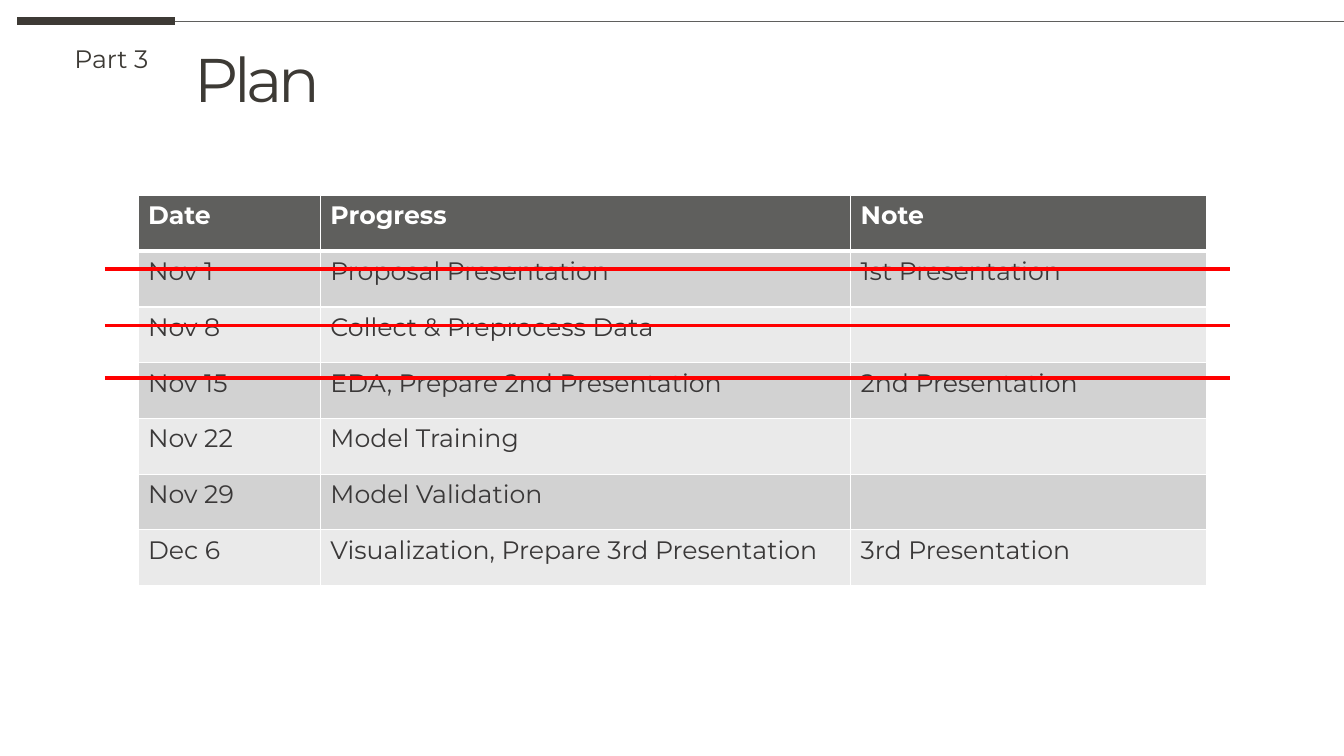
from dataclasses import dataclass

from lxml.etree import SubElement
from pptx import Presentation
from pptx.dml.color import RGBColor
from pptx.enum.shapes import MSO_CONNECTOR
from pptx.enum.text import MSO_AUTO_SIZE
from pptx.oxml import parse_xml
from pptx.oxml.ns import nsdecls, qn
from pptx.util import Pt

PART = "Part 3"
TITLE = "Plan"
PLAN = [
    ("Date", "Progress", "Note"),
    ("Nov 1", "Proposal Presentation", "1st Presentation"),
    ("Nov 8", "Collect & Preprocess Data", ""),
    ("Nov 15", "EDA, Prepare 2nd Presentation", "2nd Presentation"),
    ("Nov 22", "Model Training", ""),
    ("Nov 29", "Model Validation", ""),
    ("Dec 6", "Visualization, Prepare 3rd Presentation", "3rd Presentation"),
]


@dataclass(frozen=True)
class Theme:
    font: str = "Montserrat"
    title_size: float = 44
    body_size: float = 18
    ink: str = "3D3A35"
    cell_ink: str = "3A3838"
    header: str = "5F5F5D"
    bands: tuple = ("D2D2D2", "EAEAEA")
    white: str = "FFFFFF"
    done: str = "FF0000"


THEME = Theme()
SLIDE_W, SLIDE_H = 960, 540
RULE_Y, RULE_LEFT, RULE_SPLIT = 15.1, 12.2, 125.3
TABLE_LEFT, TABLE_TOP, ROW_H = 98.6, 139.7, 39.8
COL_WIDTHS = (130.3, 378.7, 254.2)
STRIKE_LEFT, STRIKE_RIGHT = 74.9, 878.4
STRIKE_YS = (192.2, 232.6, 270)


def style(font, size, color, bold=False):
    font.name = THEME.font
    font.size = Pt(size)
    font.bold = bold
    font.color.rgb = RGBColor.from_string(color)


def add_rule(s, x1, x2, y, color, width):
    line = s.shapes.add_connector(MSO_CONNECTOR.STRAIGHT, Pt(x1), Pt(y), Pt(x2), Pt(y))
    line.line.color.rgb = RGBColor.from_string(color)
    line.line.width = Pt(width)
    SubElement(line._element.spPr, qn("a:effectLst"))


def add_label(s, text, left, top, width, height, size, spacing=0):
    """Add a one-line text box; spacing is the letter spacing in points."""
    sp = s.shapes.add_textbox(Pt(left), Pt(top), Pt(width), Pt(height))
    tf = sp.text_frame
    tf.word_wrap = False
    tf.auto_size = MSO_AUTO_SIZE.SHAPE_TO_FIT_TEXT
    tf.text = text
    r = tf.paragraphs[0].runs[0]
    style(r.font, size, THEME.ink)
    if spacing:
        r.font._element.set("spc", str(spacing * 100))


def set_borders(cell, bottom_width):
    tcPr = cell._tc.get_or_add_tcPr()
    widths = {"lnL": 1, "lnR": 1, "lnT": 1, "lnB": bottom_width}
    for i, (side, width) in enumerate(widths.items()):
        tcPr.insert(i, parse_xml(
            f'<a:{side} {nsdecls("a")} w="{Pt(width)}"><a:solidFill>'
            f'<a:srgbClr val="{THEME.white}"/></a:solidFill></a:{side}>'))


def add_plan(s):
    table = s.shapes.add_table(
        len(PLAN), len(COL_WIDTHS), Pt(TABLE_LEFT), Pt(TABLE_TOP),
        Pt(sum(COL_WIDTHS)), Pt(ROW_H * len(PLAN))).table
    for column, width in zip(table.columns, COL_WIDTHS):
        column.width = Pt(width)
    for i, entries in enumerate(PLAN):
        is_header = i == 0
        table.rows[i].height = Pt(ROW_H)
        fill = THEME.header if is_header else THEME.bands[(i - 1) % 2]
        ink = THEME.white if is_header else THEME.cell_ink
        for j, text in enumerate(entries):
            cell = table.cell(i, j)
            cell.text = text
            cell.fill.solid()
            cell.fill.fore_color.rgb = RGBColor.from_string(fill)
            set_borders(cell, 3 if is_header else 1)
            for r in cell.text_frame.paragraphs[0].runs:
                style(r.font, THEME.body_size, ink, bold=is_header)


def main():
    prs = Presentation()
    prs.slide_width, prs.slide_height = Pt(SLIDE_W), Pt(SLIDE_H)
    s = prs.slides.add_slide(prs.slide_layouts[6])
    add_rule(s, RULE_LEFT, RULE_SPLIT, RULE_Y, THEME.ink, 6)
    add_rule(s, RULE_SPLIT, SLIDE_W, RULE_Y, THEME.header, 0.5)
    add_plan(s)
    for y in STRIKE_YS:
        add_rule(s, STRIKE_LEFT, STRIKE_RIGHT, y, THEME.done, 2.25)
    add_label(s, TITLE, 131.8, 25.9, 105.1, 60.5, THEME.title_size, spacing=-3)
    add_label(s, PART, 46.1, 27.4, 69.8, 28.8, THEME.body_size)
    prs.save("out.pptx")


if __name__ == "__main__":
    main()
